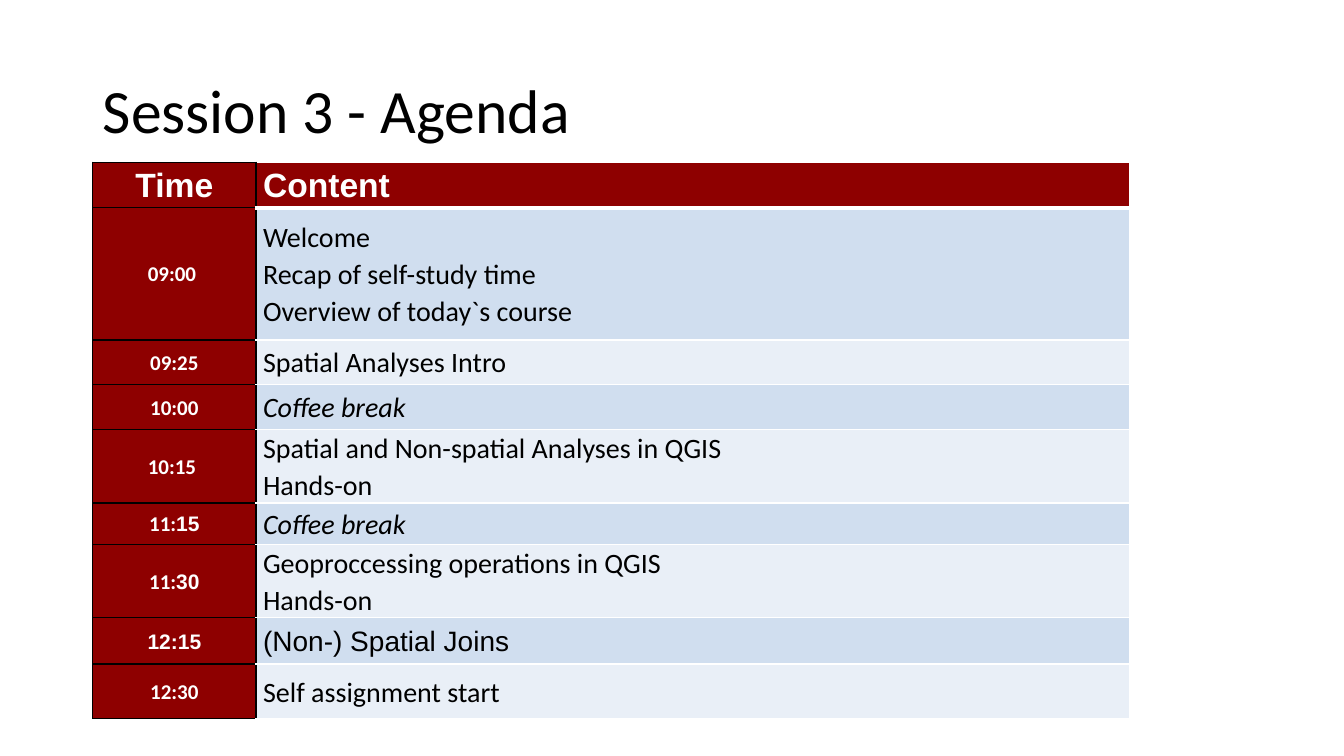
import dataclasses

import lxml.etree
import pptx
import pptx.dml.color
import pptx.enum.text
import pptx.oxml.ns
import pptx.util

ALIGN = pptx.enum.text.PP_ALIGN
MIDDLE = pptx.enum.text.MSO_ANCHOR.MIDDLE
WIDE, HIGH = pptx.util.Inches(13.33), pptx.util.Inches(7.5)


@dataclasses.dataclass(frozen=True)
class Theme:
    red: str = "8E0000"
    bands: tuple = ("D0DEEF", "E9EFF7")
    white: str = "FFFFFF"
    black: str = "000000"
    sans: str = "Arial"
    body: str = "Calibri"
    title: int = 44
    head: int = 24
    text: int = 20
    time: int = 15


THEME = Theme()

# Row height in percent of the slide, time as runs of (text, font), content
# lines, and the format of the content.
AGENDA = [
    (17.5, [("09:00 ", THEME.body)],
     ["Welcome", "Recap of self-study time", "Overview of today`s course"], {}),
    (5.87, [("09:25", THEME.body)], ["Spatial Analyses Intro"], {}),
    (6, [("10:00", THEME.body)], ["Coffee break"], {"italic": True}),
    (7.33, [("10:15 ", THEME.body)],
     ["Spatial and Non-spatial Analyses in QGIS", "Hands-on"], {}),
    (5.47, [("11:", THEME.body), ("15", THEME.sans)],
     ["Coffee break"], {"italic": True}),
    (6.13, [("11:", THEME.body), ("30", THEME.sans)],
     ["Geoproccessing operations in QGIS", "Hands-on"], {}),
    (6.13, [("12:15", THEME.sans)], ["(Non-) Spatial Joins"],
     {"font": THEME.sans}),
    (7.2, [("12:30", THEME.body)], ["Self assignment start"], {}),
]
HEAD_ROW = 6
COLUMNS = (12.15, 64.97)


def across(share):
    """Turn a percentage of the slide width into a length."""
    return round(WIDE * share / 100)


def down(share):
    """Turn a percentage of the slide height into a length."""
    return round(HIGH * share / 100)


def write(frame, lines, *, size, color=THEME.black, font=THEME.body,
          bold=False, italic=False, align=ALIGN.LEFT, space=1.07):
    """Fill a frame; a line is a string or a list of (text, font) runs."""
    frame.word_wrap = True
    for index, line in enumerate(lines):
        para = frame.add_paragraph() if index else frame.paragraphs[0]
        para.alignment, para.line_spacing = align, space
        for text, face in [(line, font)] if isinstance(line, str) else line:
            run = para.add_run()
            run.text = text
            run.font.name, run.font.size = face, pptx.util.Pt(size)
            run.font.bold, run.font.italic = bold, italic
            run.font.color.rgb = pptx.dml.color.RGBColor.from_string(color)


def edge(cell, side, color, width):
    """Draw one border of a cell; sides must come in the order L, R, T, B."""
    name = pptx.oxml.ns.qn
    line = lxml.etree.SubElement(cell._tc.get_or_add_tcPr(), name(f"a:ln{side}"),
                                 w=str(pptx.util.Pt(width)))
    fill = lxml.etree.SubElement(line, name("a:solidFill"))
    lxml.etree.SubElement(fill, name("a:srgbClr"), val=color)


def paint(cell, color, edges):
    for side, (ink, width) in zip("LRTB", edges):
        edge(cell, side, ink, width)
    cell.fill.solid()
    cell.fill.fore_color.rgb = pptx.dml.color.RGBColor.from_string(color)
    cell.vertical_anchor = MIDDLE
    cell.margin_left = cell.margin_right = pptx.util.Inches(0.07)
    cell.margin_top = cell.margin_bottom = 0


def add_title(slide, text, left, top, width, height):
    title = slide.shapes.title
    title.left, title.top = left, top
    title.width, title.height = width, height
    title.text_frame.vertical_anchor = MIDDLE
    write(title.text_frame, [text], size=THEME.title, space=0.9)


def add_plan(slide, left, top):
    """Place the agenda table with its top left corner at the given point."""
    heights = [HEAD_ROW] + [row[0] for row in AGENDA]
    table = slide.shapes.add_table(
        len(heights), len(COLUMNS), left, top,
        across(sum(COLUMNS)), down(sum(heights))).table
    table.first_row = table.horz_banding = False
    for column, share in zip(table.columns, COLUMNS):
        column.width = across(share)
    for row, share in zip(table.rows, heights):
        row.height = down(share)

    dark, light = (THEME.black, 1), (THEME.white, 1)
    label = {"color": THEME.white, "bold": True}
    for index in range(len(heights)):
        time, content = table.cell(index, 0), table.cell(index, 1)
        paint(time, THEME.red, [dark] * 4)
        if index == 0:
            paint(content, THEME.red, [dark, light, light, (THEME.white, 3)])
            label_head = dict(label, size=THEME.head, font=THEME.sans)
            write(time.text_frame, ["Time"], align=ALIGN.CENTER, **label_head)
            write(content.text_frame, ["Content"], **label_head)
            continue
        _, hour, lines, style = AGENDA[index - 1]
        paint(content, THEME.bands[(index - 1) % 2], [dark] + [light] * 3)
        write(time.text_frame, [hour], size=THEME.time, align=ALIGN.CENTER,
              **label)
        write(content.text_frame, lines, size=THEME.text, **style)


def main():
    deck = pptx.Presentation()
    deck.slide_width, deck.slide_height = WIDE, HIGH
    slide = deck.slides.add_slide(deck.slide_layouts.get_by_name("Title Only"))
    left = across(6.9)
    add_title(slide, "Session 3 - Agenda", left, down(5.33),
              across(86.27), down(19.33))
    add_plan(slide, left, down(21.47))
    deck.save("out.pptx")


if __name__ == "__main__":
    main()
